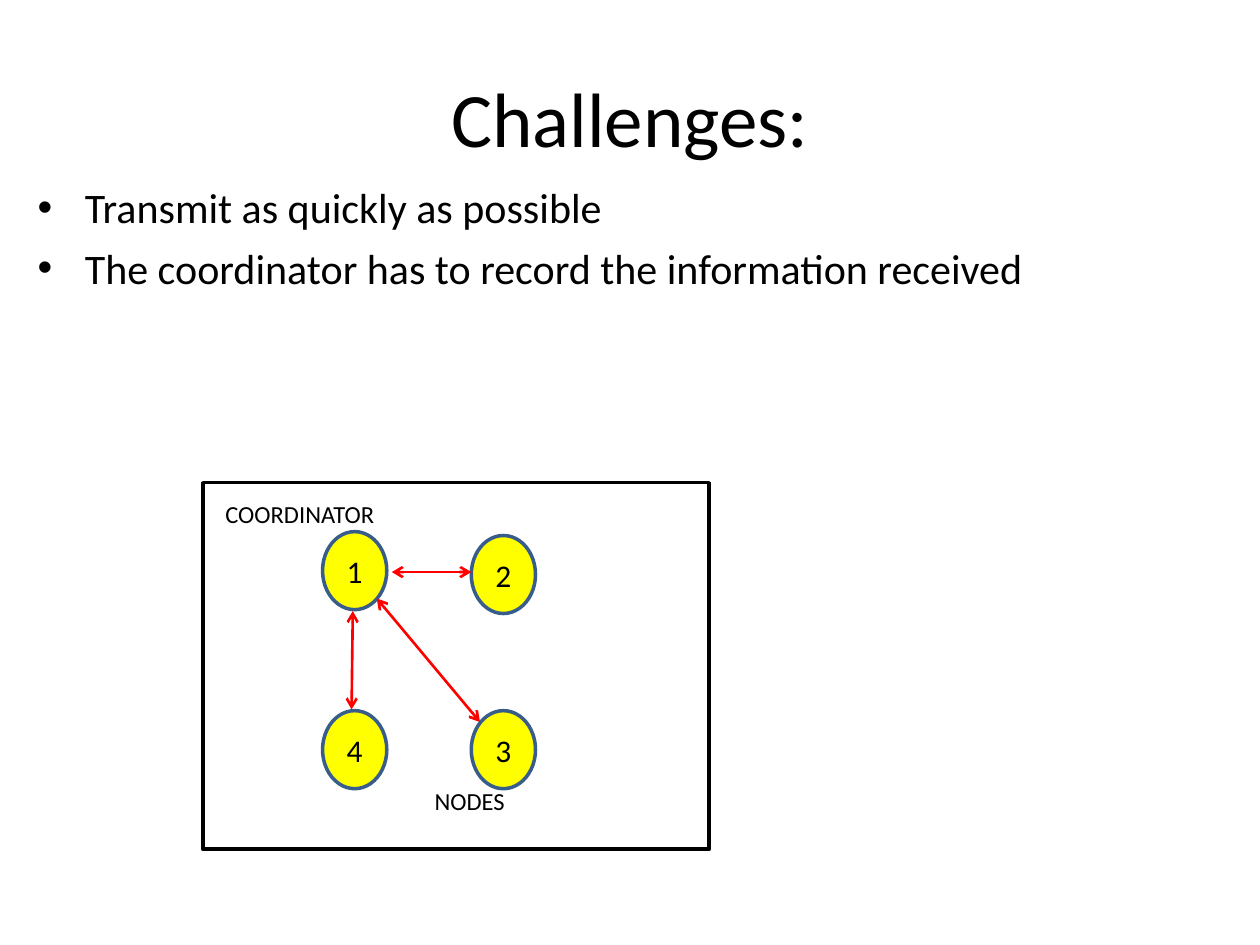
"""Build the Challenges slide with a coordinator and its three nodes."""
from lxml import etree
from pptx import Presentation
from pptx.dml.color import RGBColor
from pptx.enum.shapes import MSO_CONNECTOR, MSO_SHAPE
from pptx.enum.text import MSO_ANCHOR, PP_ALIGN
from pptx.oxml.ns import qn
from pptx.util import Pt

RECTANGLE, ELLIPSE = MSO_SHAPE.RECTANGLE, MSO_SHAPE.OVAL
STRAIGHT = MSO_CONNECTOR.STRAIGHT
MIDDLE, TOP = MSO_ANCHOR.MIDDLE, MSO_ANCHOR.TOP
CENTER, LEFT = PP_ALIGN.CENTER, PP_ALIGN.LEFT


def color(value):
    return RGBColor.from_string(value)


def write(box, lines, size, align, anchor, wrap=True, bullet=False):
    frame = box.text_frame
    frame.word_wrap = wrap
    frame.vertical_anchor = anchor
    for index, line in enumerate(lines):
        para = frame.add_paragraph() if index else frame.paragraphs[0]
        para.alignment = align
        if index:
            para.space_before = Pt(6)
        if bullet:
            properties = para._p.get_or_add_pPr()
            properties.set("marL", str(Pt(27)))
            properties.set("indent", str(Pt(-27)))
            etree.SubElement(properties, qn("a:buFont"), typeface="Arial")
            etree.SubElement(properties, qn("a:buChar"), char="•")
        span = para.add_run()
        span.text = line
        for name, value in {"name": "Calibri", "size": Pt(size), "bold": False}.items():
            setattr(span.font, name, value)
        span.font.color.rgb = color("000000")


deck = Presentation()
deck.slide_width, deck.slide_height = Pt(720), Pt(540)
page = deck.slides.add_slide(deck.slide_layouts[5])

title = page.shapes.title
for name, value in {"left": 36, "top": 21.6, "width": 648, "height": 90}.items():
    setattr(title, name, Pt(value))
write(title, ["Challenges:"], 44, CENTER, MIDDLE)

challenges = page.shapes.add_textbox(Pt(14.4), Pt(100.1), Pt(669.6), Pt(118.8))
write(challenges, [
    "Transmit as quickly as possible",
    "The coordinator has to record the information received",
], 24, LEFT, TOP, bullet=True)

border = page.shapes.add_shape(RECTANGLE, Pt(115.9), Pt(275.8), Pt(289.4), Pt(209.5))
border.shadow.inherit = False
border.fill.background()
border.line.color.rgb = color("000000")
border.line.width = Pt(2)

for label, left, top in [
    ("1", 184.3, 303.8),
    ("2", 269.3, 306),
    ("3", 269.3, 406.1),
    ("4", 184.3, 406.1),
]:
    node = page.shapes.add_shape(ELLIPSE, Pt(left), Pt(top), Pt(36.7), Pt(44.6))
    node.shadow.inherit = False
    node.fill.solid()
    node.fill.fore_color.rgb = color("FFFF00")
    node.line.color.rgb = color("385D8A")
    node.line.width = Pt(2)
    write(node, [label], 18, CENTER, MIDDLE)

for ends in [
    (223.9, 326.9, 269.3, 326.9),
    (200.9, 405.4, 201.6, 349.2),
    (274.3, 412.6, 215.3, 342),
]:
    link = page.shapes.add_connector(STRAIGHT, *map(Pt, ends))
    link.line.color.rgb = color("FF0000")
    link.line.width = Pt(1.5)
    outline = link.line._get_or_add_ln()
    for end in ("a:headEnd", "a:tailEnd"):
        etree.SubElement(outline, qn(end), type="arrow")
    etree.SubElement(link._element.spPr, qn("a:effectLst"))

for label, left, top, width in [
    ("COORDINATOR", 121.7, 281.5, 108),
    ("NODES", 241.2, 445.7, 56.9),
]:
    caption = page.shapes.add_textbox(Pt(left), Pt(top), Pt(width), Pt(24.5))
    write(caption, [label], 14, LEFT, TOP)

deck.save("out.pptx")
